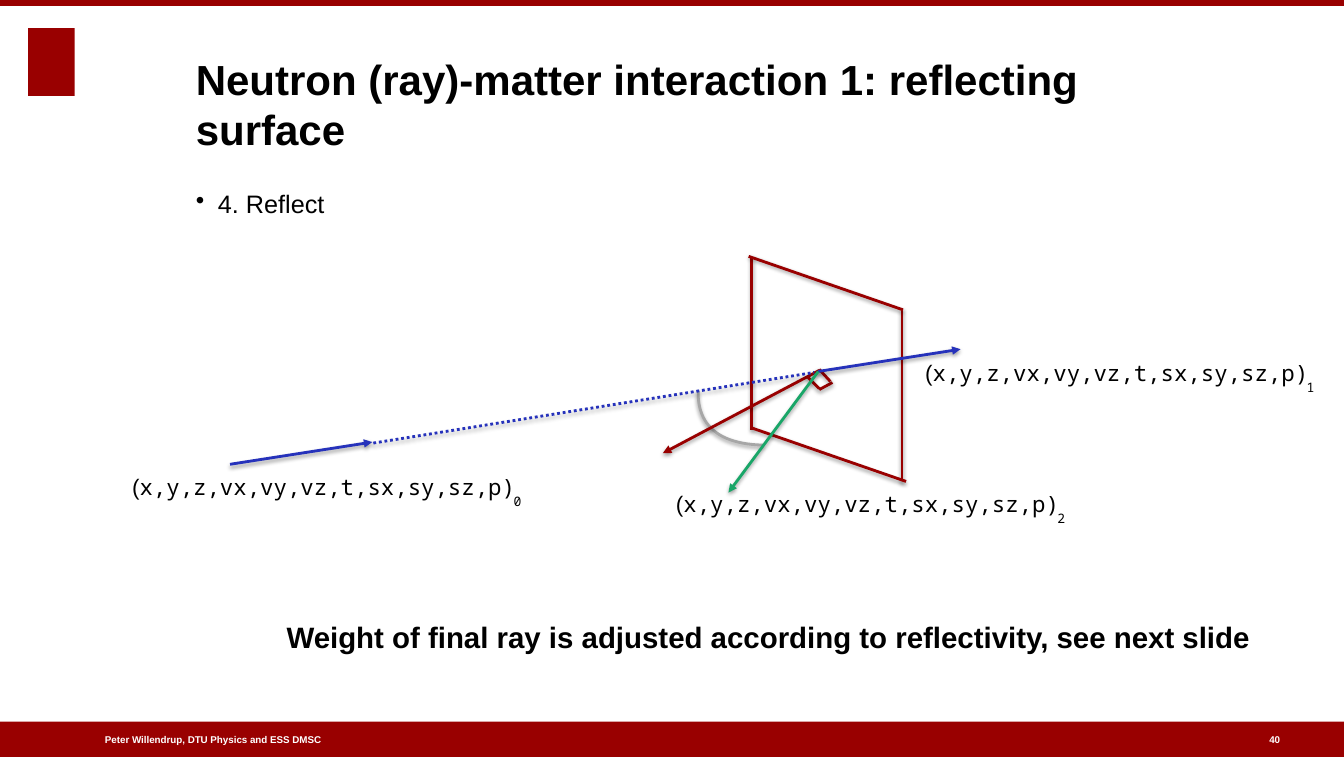
"""Build the slide on a neutron ray reflecting from a surface."""
from dataclasses import dataclass

from lxml import etree
from pptx import Presentation
from pptx.dml.color import RGBColor
from pptx.enum.dml import MSO_LINE
from pptx.enum.shapes import MSO_CONNECTOR, MSO_SHAPE
from pptx.enum.text import MSO_ANCHOR
from pptx.oxml.ns import qn
from pptx.util import Inches, Pt

RECTANGLE = MSO_SHAPE.RECTANGLE
STRAIGHT = MSO_CONNECTOR.STRAIGHT
DOTTED = MSO_LINE.ROUND_DOT
TOP, MIDDLE, BOTTOM = MSO_ANCHOR.TOP, MSO_ANCHOR.MIDDLE, MSO_ANCHOR.BOTTOM

SANS, MONO = "Arial", "Noto Sans Mono"
RED, BLUE, GREEN, GREY = "990000", "2632BB", "19A668", "A7A7A7"
BLACK, WHITE = "000000", "FFFFFF"
SLIDE_WIDTH, SLIDE_HEIGHT = 13.32, 7.5
LINE_WIDTH = 2
ARC_STEPS = 24

Point = tuple[float, float]


@dataclass
class Block:
    left: float
    top: float
    width: float
    height: float


@dataclass
class Caption:
    text: str
    area: Block
    size: float
    color: str = BLACK
    bold: bool = False
    anchor: MSO_ANCHOR = TOP
    bulleted: bool = False


@dataclass
class Segment:
    start: Point
    end: Point
    color: str
    arrow: bool = False
    dotted: bool = False


@dataclass
class RayState:
    index: str
    left: float
    top: float


BLOCKS = [
    Block(0.28, 0.28, 0.46, 0.67),
    Block(0, SLIDE_HEIGHT - 0.35, SLIDE_WIDTH, 0.35),
    Block(0, 0, SLIDE_WIDTH, 0.06),
]
CAPTIONS = [
    Caption("Peter Willendrup, DTU Physics and ESS DMSC", Block(1.04, 7.26, 3.72, 0.14),
            7, WHITE, True, MIDDLE),
    Caption("Neutron (ray)-matter interaction 1: reflecting surface",
            Block(1.94, 0.47, 10.18, 1.06), 30, bold=True, anchor=BOTTOM),
    Caption("4. Reflect", Block(1.94, 1.87, 10.18, 0.4), 18, bulleted=True),
    Caption("40", Block(12.58, 7.26, 0.14, 0.14), 7, WHITE, True, MIDDLE),
    Caption("Weight of final ray is adjusted according to reflectivity, see next slide",
            Block(2.84, 6.13, 9.8, 0.32), 21, bold=True),
]
ANGLE_ARC = [(7.56, 4.41), (7.13, 4.4), (6.91, 4.22), (6.92, 3.87)]
SURFACE = [
    Segment((7.45, 4.26), (7.45, 2.55), RED),
    Segment((8.94, 4.77), (8.94, 3.06), RED),
    Segment((8.95, 3.07), (7.42, 2.54), RED),
    Segment((8.98, 4.77), (7.45, 4.24), RED),
]
NORMAL = [
    Segment((8.12, 3.67), (6.57, 4.49), RED, arrow=True),
    Segment((8.25, 3.79), (8.12, 3.86), RED),
    Segment((8.23, 3.78), (8.12, 3.66), RED),
    Segment((8.12, 3.85), (8, 3.73), RED),
]
HIT = (8.11, 3.68)
RAYS = [
    Segment((2.28, 4.6), (3.69, 4.38), BLUE, arrow=True),
    Segment((3.7, 4.39), (8.07, 3.69), BLUE, dotted=True),
    Segment(HIT, (9.52, 3.46), BLUE, arrow=True),
    Segment(HIT, (7.22, 4.88), GREEN, arrow=True),
]
RAY_STATES = [RayState("0", 1.31, 4.69), RayState("1", 9.17, 3.56), RayState("2", 6.7, 4.86)]


def rgb(color: str) -> RGBColor:
    return RGBColor.from_string(color)


def add_block(slide, block: Block) -> None:
    bar = slide.shapes.add_shape(RECTANGLE, Inches(block.left), Inches(block.top),
                                 Inches(block.width), Inches(block.height))
    bar.shadow.inherit = False
    bar.fill.solid()
    bar.fill.fore_color.rgb = rgb(RED)
    bar.line.fill.background()


def add_paragraph_box(slide, area: Block, anchor: MSO_ANCHOR = TOP):
    frame = slide.shapes.add_textbox(Inches(area.left), Inches(area.top),
                                     Inches(area.width), Inches(area.height)).text_frame
    frame.word_wrap = True
    frame.vertical_anchor = anchor
    frame.margin_left = frame.margin_right = frame.margin_top = frame.margin_bottom = 0
    return frame.paragraphs[0]


def add_caption(slide, caption: Caption) -> None:
    paragraph = add_paragraph_box(slide, caption.area, caption.anchor)
    paragraph.add_run().text = caption.text
    if caption.bulleted:
        properties = paragraph._p.get_or_add_pPr()
        properties.set("marL", str(Inches(0.22)))
        properties.set("indent", str(Inches(-0.22)))
        etree.SubElement(properties, qn("a:buChar"), char="•")
    paragraph.font.name = SANS
    paragraph.font.size = Pt(caption.size)
    paragraph.font.bold = caption.bold
    paragraph.font.color.rgb = rgb(caption.color)


def add_ray_state(slide, state: RayState) -> None:
    vector = add_paragraph_box(slide, Block(state.left, state.top, 4.1, 0.32))
    for text, font in (("(", SANS), ("x,y,z,vx,vy,vz,t,sx,sy,sz,p)", MONO)):
        part = vector.add_run()
        part.text = text
        part.font.name = font
    index = add_paragraph_box(slide, Block(state.left + 3.78, state.top + 0.09, 0.14, 0.26))
    subscript = index.add_run()
    subscript.text = state.index
    subscript._r.get_or_add_rPr().set("baseline", "-6000")
    index.font.name = MONO
    for paragraph in (vector, index):
        paragraph.font.size = Pt(16)
        paragraph.font.color.rgb = rgb(BLACK)


def style_stroke(stroke, color: str) -> None:
    stroke.line.color.rgb = rgb(color)
    stroke.line.width = Pt(LINE_WIDTH)
    effects = etree.SubElement(stroke._element.spPr, qn("a:effectLst"))
    shadow = etree.SubElement(effects, qn("a:outerShdw"), blurRad=str(Pt(3)),
                              dist=str(Pt(1.6)), dir="5400000", rotWithShape="0")
    tint = etree.SubElement(shadow, qn("a:srgbClr"), val=BLACK)
    etree.SubElement(tint, qn("a:alpha"), val="38000")


def add_segment(slide, segment: Segment) -> None:
    (x1, y1), (x2, y2) = segment.start, segment.end
    stroke = slide.shapes.add_connector(STRAIGHT, Inches(x1), Inches(y1), Inches(x2), Inches(y2))
    style_stroke(stroke, segment.color)
    if segment.dotted:
        stroke.line.dash_style = DOTTED
    if segment.arrow:
        etree.SubElement(stroke.line._get_or_add_ln(), qn("a:tailEnd"), type="triangle")


def bezier_point(controls: list[Point], t: float) -> tuple[int, int]:
    weights = ((1 - t) ** 3, 3 * t * (1 - t) ** 2, 3 * t ** 2 * (1 - t), t ** 3)
    x, y = (sum(w * c for w, c in zip(weights, axis)) for axis in zip(*controls))
    return Inches(x), Inches(y)


def add_arc(slide, controls: list[Point]) -> None:
    points = [bezier_point(controls, step / ARC_STEPS) for step in range(ARC_STEPS + 1)]
    builder = slide.shapes.build_freeform(*points[0])
    builder.add_line_segments(points[1:], close=False)
    arc = builder.convert_to_shape()
    arc.fill.background()
    style_stroke(arc, GREY)


def main() -> None:
    deck = Presentation()
    deck.slide_width, deck.slide_height = Inches(SLIDE_WIDTH), Inches(SLIDE_HEIGHT)
    slide = deck.slides.add_slide(deck.slide_layouts[6])
    for block in BLOCKS:
        add_block(slide, block)
    add_arc(slide, ANGLE_ARC)
    for caption in CAPTIONS:
        add_caption(slide, caption)
    for segment in SURFACE + NORMAL + RAYS:
        add_segment(slide, segment)
    for state in RAY_STATES:
        add_ray_state(slide, state)
    deck.save("out.pptx")


if __name__ == "__main__":
    main()
